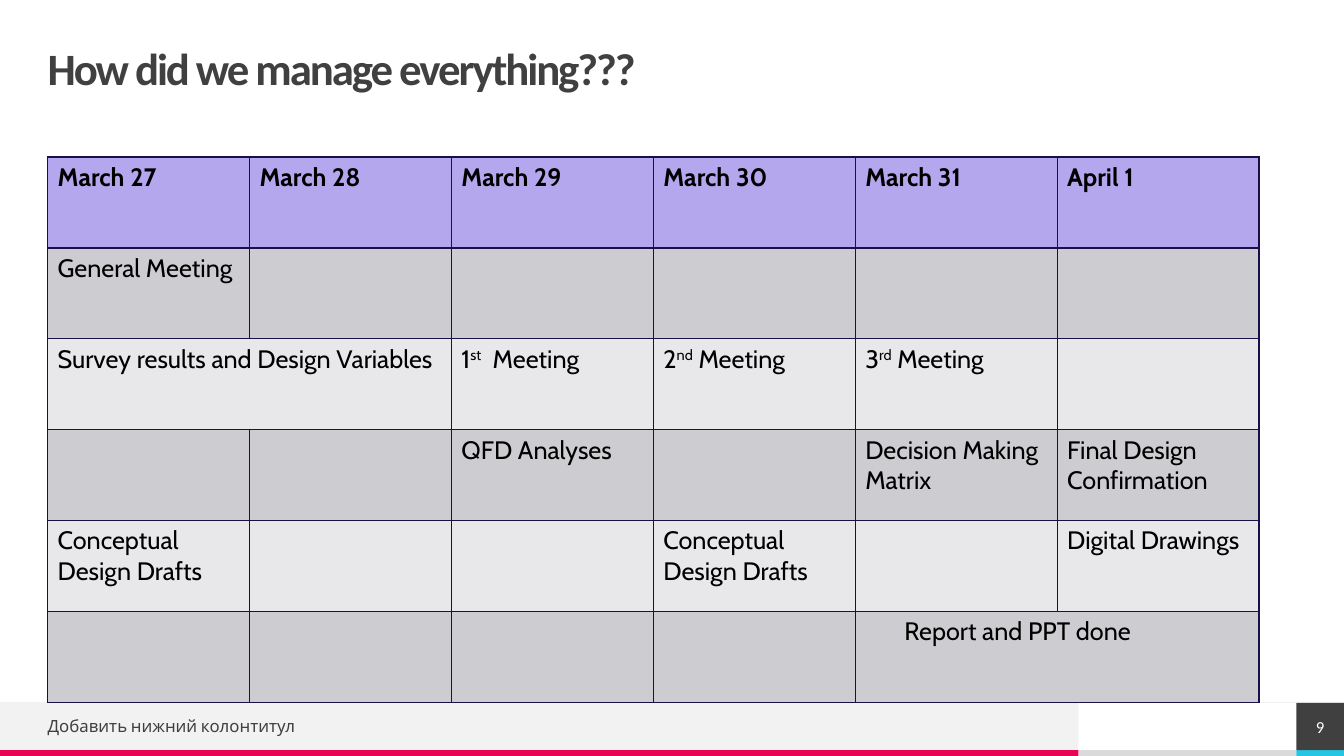
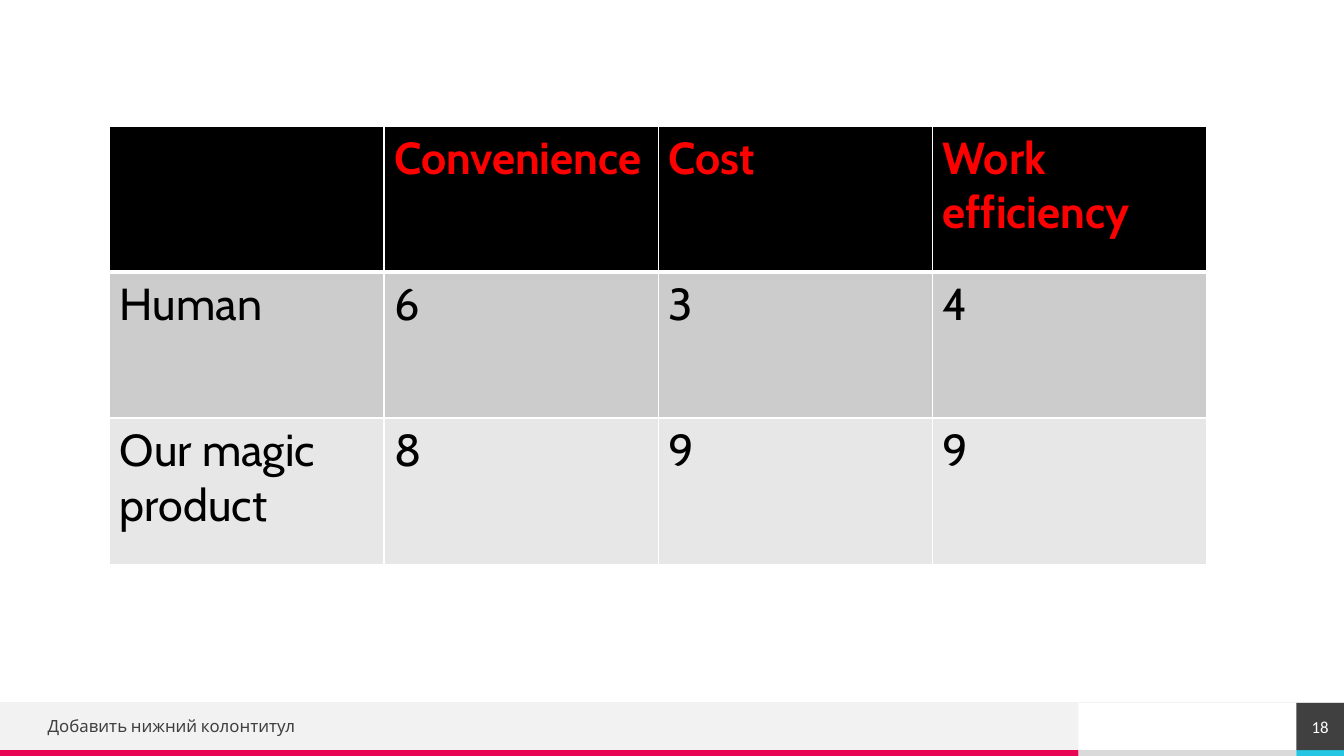
from dataclasses import dataclass, field

from lxml import etree
from pptx import Presentation
from pptx import util as u
from pptx.dml.color import RGBColor
from pptx.enum import shapes, text
from pptx.oxml import ns

WIDE, HIGH = 960, 540
EDGE, FOOT, BASE = 34, 502, 535.75  # left margin, footer top, stripe top
SPLIT, LAST = 770.4, 926  # ends of the grey band and of the white gap
INK, PALE, CYAN, PINK = "404040", "F2F2F2", "25C6E3", "E80554"
WHITE, BLACK = "FFFFFF", "000000"
HEAD, BODY = "Calibri", "Cabin"


@dataclass
class Box:
    left: float
    top: float
    width: float
    height: float

    def args(self) -> list:
        return [u.Pt(v) for v in (self.left, self.top, self.width, self.height)]


@dataclass
class Style:
    size: float
    face: str
    tint: str
    bold: bool = False
    space: float = 0  # letter spacing


@dataclass
class Grid:
    box: Box
    rows: list
    head: Style
    body: Style
    fills: tuple  # header, odd rows, even rows
    edge: str
    rule: float = 1  # line under the header
    spans: list = field(default_factory=list)  # row, first and last column
    pads: dict = field(default_factory=dict)  # extra left margin by cell


BANDS = [
    (Box(SPLIT, BASE, LAST - SPLIT, HIGH - BASE), "DADADA"),
    (Box(0, FOOT, SPLIT, BASE - FOOT), PALE),
    (Box(0, BASE, SPLIT, HIGH - BASE), PINK),
    (Box(LAST, BASE, WIDE - LAST, HIGH - BASE), CYAN),
]
TITLE = Style(32, HEAD, INK, True, -1.5)
NOTE = Style(12, BODY, INK)
PAGE = Style(12, HEAD, WHITE)


def color(code: str) -> RGBColor:
    return RGBColor.from_string(code)


def write(para, words: str, style: Style) -> None:
    """Fill a paragraph; parts between ^ marks are raised."""
    font = para.font
    font.size, font.name, font.bold = u.Pt(style.size), style.face, style.bold
    font.color.rgb = color(style.tint)
    for i, part in enumerate(words.split("^")):
        run = para.add_run()
        run.text = part
        props = run._r.get_or_add_rPr()
        if style.space:
            props.set("spc", str(round(style.space * 100)))
        if i % 2:
            props.set("baseline", "30000")


def setup(frame) -> None:
    frame.word_wrap = True
    frame.auto_size = text.MSO_AUTO_SIZE.NONE
    frame.vertical_anchor = text.MSO_ANCHOR.MIDDLE
    frame.margin_left = frame.margin_right = 0
    frame.margin_top = frame.margin_bottom = 0


def band(slide, box: Box, fill: str):
    shape = slide.shapes.add_shape(shapes.MSO_SHAPE.RECTANGLE, *box.args())
    shape.shadow.inherit = False
    shape.fill.solid()
    shape.fill.fore_color.rgb = color(fill)
    shape.line.fill.background()
    return shape


def footer(slide, page: int) -> None:
    for box, fill in BANDS:
        band(slide, box, fill)

    # Hairline above the footer
    line = slide.shapes.add_connector(
        shapes.MSO_CONNECTOR.STRAIGHT, u.Pt(WIDE), u.Pt(FOOT), 0, u.Pt(FOOT))
    line.line.color.rgb = color(PALE)
    line.line.width = u.Pt(0.5)
    etree.SubElement(line._element.spPr, ns.qn("a:effectLst"))

    # Footer text and page number
    frame = slide.shapes.add_textbox(*Box(EDGE, 507, 446, 23).args()).text_frame
    setup(frame)
    write(frame.paragraphs[0], "Добавить нижний колонтитул", NOTE)
    frame = band(slide, Box(LAST, FOOT, WIDE - LAST, BASE - FOOT), INK).text_frame
    setup(frame)
    frame.paragraphs[0].alignment = text.PP_ALIGN.CENTER
    write(frame.paragraphs[0], str(page), PAGE)


def title(slide, words: str) -> None:
    shape = slide.shapes.title
    shape.left, shape.top, shape.width, shape.height = Box(EDGE, EDGE, 892, 34).args()
    setup(shape.text_frame)
    para = shape.text_frame.paragraphs[0]
    para.alignment, para.line_spacing = text.PP_ALIGN.LEFT, 0.9
    write(para, words, TITLE)


def border(cell, side: str, tint: str, width: float) -> None:
    line = etree.SubElement(cell._tc.get_or_add_tcPr(), ns.qn("a:ln" + side),
                            w=str(u.Pt(width)))
    fill = etree.SubElement(line, ns.qn("a:solidFill"))
    etree.SubElement(fill, ns.qn("a:srgbClr"), val=tint)


def table(slide, grid: Grid) -> None:
    rows, cols = len(grid.rows), len(grid.rows[0])
    tab = slide.shapes.add_table(rows, cols, *grid.box.args()).table
    for col in tab.columns:
        col.width = u.Pt(grid.box.width / cols)
    for row in tab.rows:
        row.height = u.Pt(grid.box.height / rows)
    for r, words in enumerate(grid.rows):
        for c, word in enumerate(words):
            cell = tab.cell(r, c)
            for side in "LRTB":
                under = (r, side) in ((0, "B"), (1, "T"))
                border(cell, side, grid.edge, grid.rule if under else 1)
            cell.fill.solid()
            cell.fill.fore_color.rgb = color(
                grid.fills[0 if r == 0 else 2 - r % 2])
            cell.margin_left = u.Pt(7.2 + grid.pads.get((r, c), 0))
            if word:
                write(cell.text_frame.paragraphs[0], word,
                      grid.body if r else grid.head)
    for r, first, last in grid.spans:
        tab.cell(r, first).merge(tab.cell(r, last))


PLAN = Grid(
    Box(EDGE, 112.2, 865.5, 389.5),
    [
        ["March 27", "March 28", "March 29", "March 30", "March 31", "April 1"],
        ["General Meeting", "", "", "", "", ""],
        ["Survey results and Design Variables", "", "1^st^  Meeting",
         "2^nd^ Meeting", "3^rd^ Meeting", ""],
        ["", "", "QFD Analyses", "", "Decision Making Matrix",
         "Final Design Confirmation"],
        ["Conceptual Design Drafts", "", "", "Conceptual Design Drafts", "",
         "Digital Drawings"],
        ["", "", "", "", "Report and PPT done", ""],
    ],
    Style(18, BODY, BLACK, True), Style(18, BODY, BLACK),
    ("B5A7ED", "CDCCD0", "E8E7E9"), "1A0F49",
    spans=[(2, 0, 1), (5, 4, 5)], pads={(5, 4): 28},
)
SCORE = Grid(
    Box(78.5, 90, 783.4, 313),
    [
        ["", "Convenience", "Cost", "Work efficiency"],
        ["Human", "6", "3", "4"],
        ["Our magic product", "8", "9", "9"],
    ],
    Style(32, BODY, "FF0000", True), Style(32, BODY, BLACK),
    (BLACK, "CCCCCC", "E7E7E7"), WHITE, rule=3,
)


def main() -> None:
    deck = Presentation()
    deck.slide_width, deck.slide_height = u.Pt(WIDE), u.Pt(HIGH)
    bare, named = deck.slide_layouts[6], deck.slide_layouts[5]

    # Schedule
    slide = deck.slides.add_slide(named)
    footer(slide, 9)
    title(slide, "How did we manage everything???")
    table(slide, PLAN)

    # Comparison
    slide = deck.slides.add_slide(bare)
    footer(slide, 18)
    table(slide, SCORE)

    deck.save("out.pptx")


if __name__ == "__main__":
    main()
